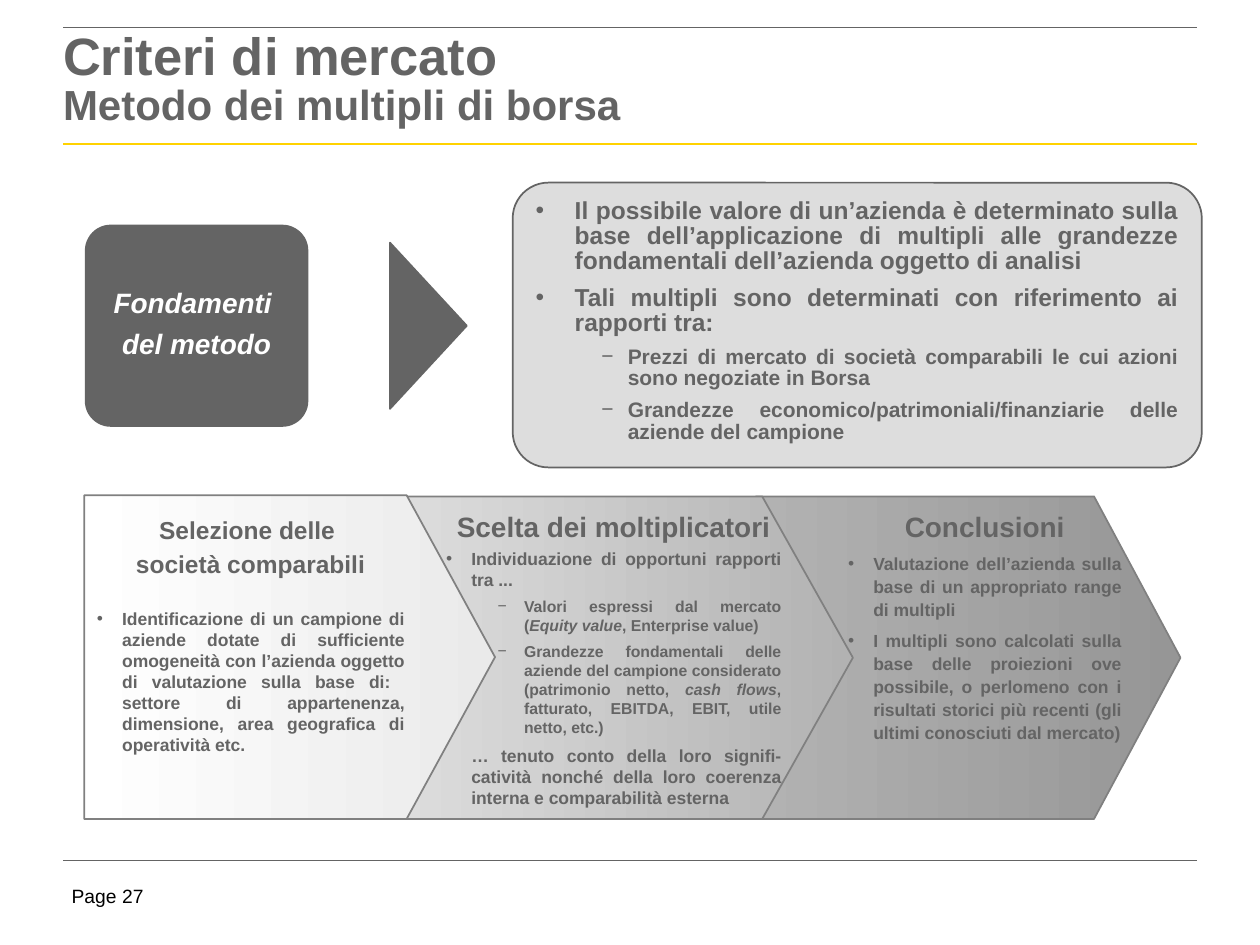
from lxml.etree import SubElement
from pptx import Presentation
from pptx.dml.color import RGBColor
from pptx.enum.shapes import MSO_CONNECTOR, MSO_SHAPE
from pptx.enum.text import MSO_ANCHOR as Anchor, MSO_AUTO_SIZE as AutoSize, PP_ALIGN as Align
from pptx.oxml.ns import qn
from pptx.util import Pt

COLORS = {
    "ink": "646464", "rule": "FFD200", "panel": "DDDDDD", "edge": "808080",
    "white": "FFFFFF", "black": "000000", "pale": "EAEAEA",
    "mid": "B2B2B2", "dark": "969696",
}


def rgb(name):
    """Return the named colour."""
    return RGBColor.from_string(COLORS[name])


def apply(target, values):
    """Set every attribute in a dict of format values."""
    for key, value in values.items():
        setattr(target, key, value)


def para(text, size, **options):
    """Describe one paragraph; asterisks mark italic words."""
    defaults = {"align": Align.JUSTIFY, "bullet": None, "level": 0, "left": 0,
                "hang": 0, "spacing": 1.0, "before": 0.45 * size}
    return {"text": text, "size": size, **defaults, **options}


def heading(text, size, before=0):
    """Describe a centred heading."""
    return para(text, size, align=Align.CENTER, before=before)


def item(text, size=10, **options):
    """Describe a bulleted item."""
    return para(text, size, **{"bullet": "•", "left": 14.4, "hang": 14.4, **options})


def subitem(text, size=9, **options):
    """Describe a dashed second-level item."""
    return item(text, size, **{"bullet": "−", "level": 1, "left": 44.6, "hang": 15.1, **options})


class SlideBuilder:
    """Holds the style and the current slide."""

    font = "Arial"

    def __init__(self, slide):
        """Keep the slide and its body placeholders."""
        self.slide = slide
        self.bodies = [p for p in slide.placeholders if p.placeholder_format.idx > 0]

    def place(self, shape, box):
        """Move a shape to a box given in points."""
        apply(shape, dict(zip(("left", "top", "width", "height"), map(Pt, box))))

    def paint(self, shape, fill, line):
        """Fill and outline a shape; two fill names make a gradient."""
        if isinstance(fill, tuple):
            shape.fill.gradient()
            shape.fill.gradient_angle = 0
            for stop, name in zip(shape.fill.gradient_stops, fill):
                stop.color.rgb = rgb(name)
        else:
            shape.fill.solid()
            shape.fill.fore_color.rgb = rgb(fill)
        shape.line.color.rgb = rgb(line)
        shape.line.width = Pt(1)

    def run(self, paragraph, text, size, color="ink", bold=True, italic=False):
        """Add a formatted run."""
        run = paragraph.add_run()
        run.text = text
        apply(run.font, {"name": self.font, "size": Pt(size), "bold": bold, "italic": italic})
        run.font.color.rgb = rgb(color)

    def frame(self, shape, insets=(7.2, 3.6, 7.2, 3.6), anchor=Anchor.TOP, wrap=True):
        """Set up a text frame and return it."""
        frame = shape.text_frame
        margins = ("margin_left", "margin_top", "margin_right", "margin_bottom")
        apply(frame, dict(zip(margins, map(Pt, insets))))
        apply(frame, {"auto_size": AutoSize.NONE, "vertical_anchor": anchor, "word_wrap": wrap})
        return frame

    def bullet(self, paragraph, char, left, hang):
        """Set the indents and bullet of a paragraph."""
        props = paragraph._p.get_or_add_pPr()
        props.set("marL", str(int(Pt(left))))
        props.set("indent", str(-int(Pt(hang))))
        if char is None:
            SubElement(props, qn("a:buNone"))
            return
        color = SubElement(props, qn("a:buClr"))
        SubElement(color, qn("a:srgbClr"), val=COLORS["ink"])
        SubElement(props, qn("a:buFont"), typeface=self.font)
        SubElement(props, qn("a:buChar"), char=char)

    def compose(self, frame, content, **style):
        """Fill a text frame with paragraph descriptions."""
        for index, entry in enumerate(content):
            paragraph = frame.add_paragraph() if index else frame.paragraphs[0]
            apply(paragraph, {
                "alignment": entry["align"], "level": entry["level"],
                "line_spacing": entry["spacing"],
                "space_before": Pt(entry["before"]), "space_after": Pt(0)})
            self.bullet(paragraph, entry["bullet"], entry["left"], entry["hang"])
            for part, text in enumerate(entry["text"].split("*")):
                self.run(paragraph, text, entry["size"], **{"italic": part % 2 == 1, **style})

    def title(self, box, lines):
        """Fill the title placeholder, one size per line."""
        title = self.slide.shapes.title
        self.place(title, box)
        paragraph = self.frame(title, (0, 2.9, 0, 0)).paragraphs[0]
        apply(paragraph, {"alignment": Align.LEFT, "line_spacing": 0.85, "space_before": Pt(0)})
        for index, (text, size) in enumerate(lines):
            if index:
                paragraph.add_line_break()
            self.run(paragraph, text, size)

    def body(self, box, content, top=3.6, panel=False):
        """Place the next body placeholder in front, optionally as a rounded panel."""
        body = self.bodies.pop(0)
        self.place(body, box)
        body.element.getparent().append(body.element)
        if panel:
            outline = SubElement(body.element.spPr, qn("a:prstGeom"), prst="roundRect")
            guides = SubElement(outline, qn("a:avLst"))
            SubElement(guides, qn("a:gd"), name="adj", fmla="val 12500")
            self.paint(body, "panel", "ink")
        self.compose(self.frame(body, (7.2, top, 7.2, 3.6)), content)

    def shape(self, kind, box, fill, line, adjust, rotation=0):
        """Add a preset shape."""
        shape = self.slide.shapes.add_shape(kind, *map(Pt, box))
        shape.shadow.inherit = False
        shape.rotation = rotation
        shape.adjustments[0] = adjust
        self.paint(shape, fill, line)
        return shape

    def rule(self, y, color, width):
        """Draw a full-width horizontal rule."""
        rule = self.slide.shapes.add_connector(MSO_CONNECTOR.STRAIGHT, Pt(36), Pt(y), Pt(684), Pt(y))
        rule.line.color.rgb = rgb(color)
        rule.line.width = Pt(width)
        SubElement(rule.element.spPr, qn("a:effectLst"))

    def label(self, box, text, size):
        """Add a plain text box."""
        label = self.slide.shapes.add_textbox(*map(Pt, box))
        paragraph = self.frame(label, (0, 0, 0, 0), wrap=False).paragraphs[0]
        self.run(paragraph, text, size, color="black", bold=False)


STEPS = [
    {"arrow": (432, 283.7, 242.6, 184.3), "tip": 0.268, "shades": ("mid", "dark"),
     "box": (477.4, 283.7, 170.6, 158.4), "top": 7.2, "content": [
         heading("Conclusioni", 16),
         item("Valutazione dell’azienda sulla base di un appropriato range di multipli", spacing=1.1),
         item("I multipli sono calcolati sulla base delle proiezioni ove possibile, o perlomeno "
              "con i risultati storici più recenti (gli ultimi conosciuti dal mercato)", spacing=1.1)]},
    {"arrow": (228.2, 283.7, 259.2, 184.3), "tip": 0.281, "shades": ("panel", "mid"),
     "box": (247.7, 284.4, 205.9, 182.9), "top": 6.5, "content": [
         heading("Scelta dei moltiplicatori", 16),
         item("Individuazione di opportuni rapporti tra ...", before=3),
         subitem("Valori espressi dal mercato (*Equity value*, Enterprise value)"),
         subitem("Grandezze fondamentali delle aziende del campione considerato (patrimonio netto, "
                 "*cash flows*, fatturato, EBITDA, EBIT, utile netto, etc.)"),
         para("… tenuto conto della loro signifi-catività nonché della loro coerenza interna "
              "e comparabilità esterna", 10, left=14.4)]},
    {"arrow": (48.2, 283, 234.7, 185), "tip": 0.273, "shades": ("white", "pale"),
     "box": (48.2, 282.2, 190.1, 153.4), "top": 12, "content": [
         heading("Selezione delle ", 14),
         heading("società comparabili", 14, before=2.7),
         item("Identificazione di un campione di aziende dotate di sufficiente omogeneità con "
              "l’azienda oggetto di valutazione sulla base di:  settore di appartenenza, "
              "dimensione, area geografica di operatività etc.", before=17)]},
]
MAIN = {"left": 22.3, "hang": 22.3, "spacing": 0.85, "before": 7}
DETAIL = {"left": 52.6, "spacing": 0.85, "before": 6}
FOUNDATIONS = [
    item("Il possibile valore di un’azienda è determinato sulla base dell’applicazione di "
         "multipli alle grandezze fondamentali dell’azienda oggetto di analisi", 14, **MAIN),
    item("Tali multipli sono determinati con riferimento ai rapporti tra:", 14, **MAIN),
    subitem("Prezzi di mercato di società comparabili le cui azioni sono negoziate in Borsa", 12, **DETAIL),
    subitem("Grandezze economico/patrimoniali/finanziarie delle aziende del campione", 12, **DETAIL),
]

deck = Presentation()
deck.slide_width, deck.slide_height = Pt(720), Pt(540)
builder = SlideBuilder(deck.slides.add_slide(deck.slide_layouts.get_by_name("Comparison")))

builder.label((41, 505.4, 52.6, 15.8), "Page 27", 11)
for y, color, width in ((82.1, "rule", 1), (491.8, "ink", 0.25), (15.8, "ink", 0.5)):
    builder.rule(y, color, width)
builder.title((36, 15.8, 648, 67.7), [("Criteri di mercato", 30), ("Metodo dei multipli di borsa", 24)])

for step in STEPS:
    builder.shape(MSO_SHAPE.PENTAGON, step["arrow"], step["shades"], "edge", step["tip"])
    builder.body(step["box"], step["content"], step["top"])

method = builder.shape(MSO_SHAPE.ROUNDED_RECTANGLE, (49, 128.9, 126.7, 114.5), "ink", "ink", 0.125)
builder.compose(
    builder.frame(method, anchor=Anchor.MIDDLE, wrap=False),
    [para(text, 16, align=Align.CENTER, spacing=0.85) for text in ("Fondamenti ", "del metodo")],
    color="white", italic=True)
builder.body((293, 104.4, 393.8, 162.7), FOUNDATIONS, panel=True)
builder.shape(MSO_SHAPE.ISOSCELES_TRIANGLE, (197.3, 164.2, 95, 43.9), "ink", "ink", 0.5, rotation=90)

deck.save("out.pptx")
